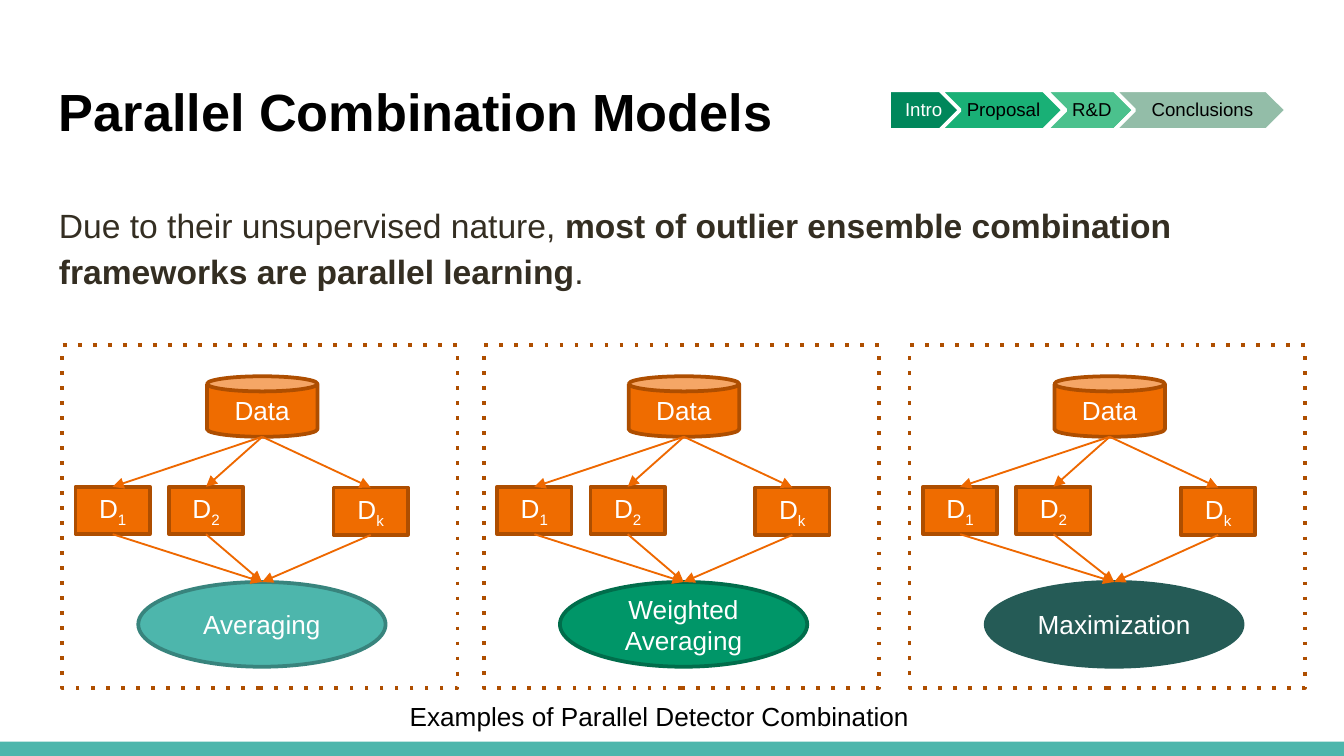
from lxml.etree import SubElement
from pptx import Presentation
from pptx.dml.color import RGBColor
from pptx.enum.shapes import MSO_CONNECTOR as CONN, MSO_SHAPE as SHAPE
from pptx.enum.text import MSO_ANCHOR as ANCHOR, PP_ALIGN as ALIGN
from pptx.oxml.ns import qn
from pptx.util import Pt

FONT = "Arial"
TEAL, ORANGE, BROWN, ARROW = "4DB6AC", "EF6C00", "AE4E00", "EE6800"
WHITE, BLACK = "FFFFFF", "000000"

PANEL_TOP, PANEL_W, PANEL_H = 184.9, 211.8, 183.6
PANELS = [
    (33.3, "Averaging", TEAL, "38847D", 132.5),
    (259.2, "Weighted Averaging", "009668", "006D4B", 132.5),
    (487.3, "Maximization", "255B56", "255B56", 137.6),
]
DETECTORS = [("1", 7.2, 260.8), ("2", 57.2, 260.8), ("k", 145.4, 261.2)]
STEPS = [
    ("Intro", 476.2, 39.6, "00875B", WHITE),
    ("Proposal", 503.5, 66.2, "19B076", BLACK),
    ("R&D", 560.2, 47.5, "4BC18D", BLACK),
    ("Conclusions", 597, 92.2, "93BDA8", BLACK),
]


def rgb(value):
    return RGBColor.from_string(value)


def set_font(p, size, color, bold=False):
    p.font.name = FONT
    p.font.size = Pt(size)
    p.font.color.rgb = rgb(color)
    p.font.bold = bold


def add_shape(slide, kind, x, y, w, h, fill=None, line=None):
    sp = slide.shapes.add_shape(kind, Pt(x), Pt(y), Pt(w), Pt(h))
    sp.shadow.inherit = False
    if fill:
        sp.fill.solid()
        sp.fill.fore_color.rgb = rgb(fill)
    else:
        sp.fill.background()
    if line:
        sp.line.color.rgb = rgb(line)
        sp.line.width = Pt(2)
    else:
        sp.line.fill.background()
    return sp


def add_label(sp, text, size=14, color=WHITE, subscript=""):
    tf = sp.text_frame
    tf.vertical_anchor = ANCHOR.MIDDLE
    p = tf.paragraphs[0]
    p.alignment = ALIGN.CENTER
    set_font(p, size, color)
    p.add_run().text = text
    if subscript:
        r = p.add_run()
        r.text = subscript
        r.font._element.set("baseline", "-25000")
    return p


def add_text(slide, x, y, w, h, runs, size, color, inset=7.2):
    box = slide.shapes.add_textbox(Pt(x), Pt(y), Pt(w), Pt(h))
    tf = box.text_frame
    tf.word_wrap = True
    tf.margin_top = tf.margin_bottom = Pt(inset)
    p = tf.paragraphs[0]
    set_font(p, size, color)
    for text, bold in runs:
        r = p.add_run()
        r.text = text
        r.font.bold = bold
    return p


def add_arrow(slide, start, end):
    cx = slide.shapes.add_connector(CONN.STRAIGHT, *map(Pt, start + end))
    cx.line.color.rgb = rgb(ARROW)
    cx.line.width = Pt(1)
    spPr = cx._element.spPr
    SubElement(spPr.find(qn("a:ln")), qn("a:tailEnd"), type="triangle")
    SubElement(spPr, qn("a:effectLst"))
    return cx


def add_panel(slide, left, method, fill, line, oval_w):
    data_x, data_y, data_w, data_h = left + 77.6, 201.6, 59.2, 32.4
    data = add_shape(slide, SHAPE.CAN, data_x, data_y, data_w, data_h, ORANGE, BROWN)
    add_label(data, "Data")
    data_bottom = (data_x + data_w / 2, data_y + data_h)

    oval_x, oval_y = left + 40.8, 311.8
    oval = add_shape(slide, SHAPE.OVAL, oval_x, oval_y, oval_w, 45.4, fill, line)
    add_label(oval, method)
    oval_top = (oval_x + oval_w / 2, oval_y)

    box_w, box_h = 39.8, 25.4
    for index, offset, y in DETECTORS:
        x = left + offset
        box = add_shape(slide, SHAPE.RECTANGLE, x, y, box_w, box_h, ORANGE, BROWN)
        add_label(box, "D", subscript=index)
        middle = x + box_w / 2
        add_arrow(slide, data_bottom, (middle, y)).end_connect(box, 0)
        out = add_arrow(slide, (middle, y + box_h), oval_top)
        out.begin_connect(box, 2)
        out.end_connect(oval, 0)

    frame = add_shape(slide, SHAPE.RECTANGLE, left, PANEL_TOP, PANEL_W, PANEL_H, line=BROWN)
    SubElement(frame._element.spPr.find(qn("a:ln")), qn("a:prstDash"), val="dot")


def add_step(slide, kind, text, x, w, fill, color):
    sp = add_shape(slide, kind, x, 48.3, w, 21.4, fill, WHITE)
    tf = sp.text_frame
    tf.word_wrap = False
    tf.margin_left = Pt(4 if kind == SHAPE.PENTAGON else 3)
    tf.margin_right = Pt(1)
    tf.margin_top = tf.margin_bottom = Pt(2)
    add_label(sp, text, 10, color).line_spacing = 0.9


def main():
    prs = Presentation()
    prs.slide_width, prs.slide_height = Pt(720), Pt(405)
    slide = prs.slides.add_slide(prs.slide_layouts[6])

    add_shape(slide, SHAPE.RECTANGLE, 0, 397.4, 720, 7.6, TEAL)
    add_text(slide, 24.5, 35.3, 671, 55.4,
             [("Parallel Combination Models", True)], 28, BLACK)
    body = add_text(slide, 24.5, 99.4, 671, 72, [
        ("Due to their unsupervised nature,", False),
        (" most of outlier ensemble combination frameworks are parallel learning", True),
        (".", False),
    ], 18, "342E22")
    body.line_spacing = 1.15

    for panel in PANELS:
        add_panel(slide, *panel)
    add_text(slide, 212.4, 371.5, 307.4, 24.5,
             [("Examples of Parallel Detector Combination", False)], 14, BLACK, 3.6)

    for i, step in enumerate(STEPS):
        add_step(slide, SHAPE.CHEVRON if i else SHAPE.PENTAGON, *step)

    prs.save("out.pptx")


if __name__ == "__main__":
    main()
